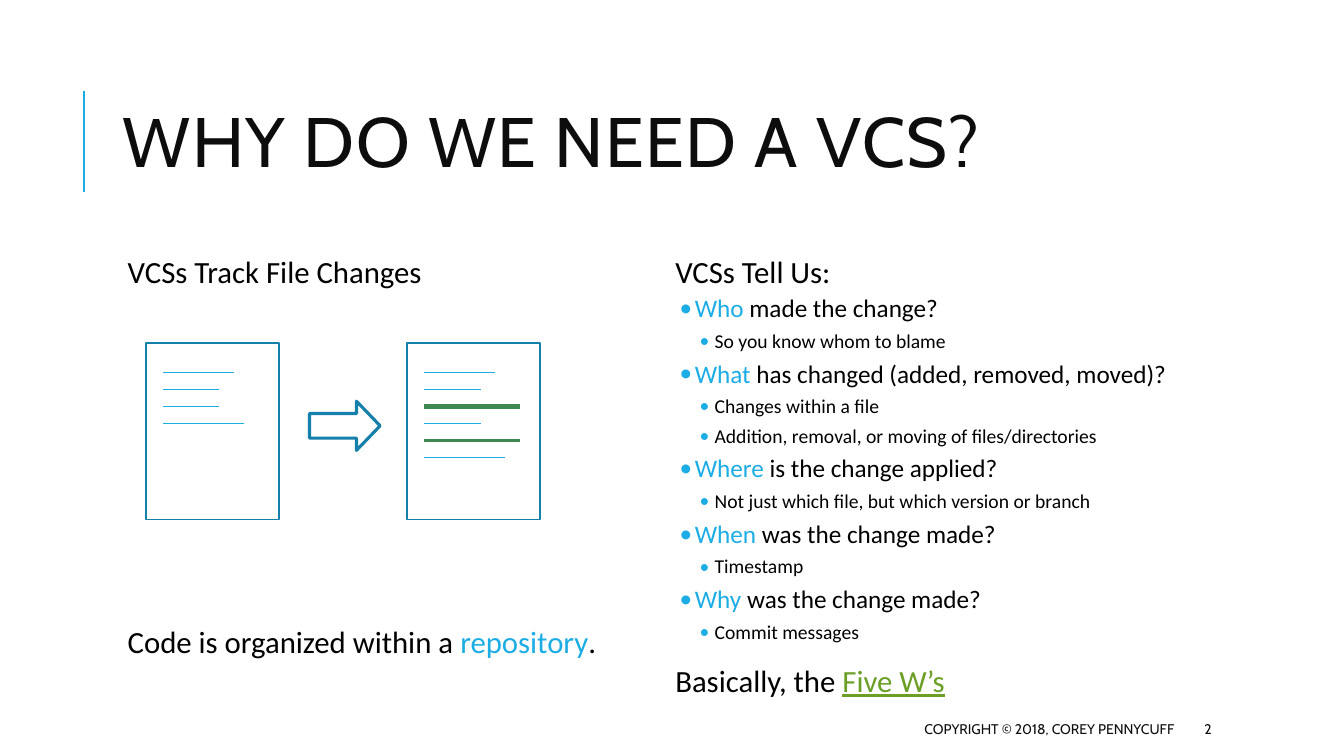
from lxml.etree import SubElement
from pptx import Presentation
from pptx.dml.color import RGBColor
from pptx.enum.shapes import MSO_CONNECTOR, MSO_SHAPE
from pptx.enum.text import MSO_ANCHOR, MSO_AUTO_SIZE, PP_ALIGN
from pptx.oxml.ns import qn
from pptx.util import Cm, Pt

BLUE, OUTLINE, GREEN, LINK = "1CADE4", "1580A9", "3E8853", "6B9F25"
BLACK, DARK, WHITE = "000000", "0D0D0D", "FFFFFF"
HEADING, TOPIC, DETAIL = range(3)
SIZES = {HEADING: 22, TOPIC: 18, DETAIL: 14}
INDENTS = {HEADING: 0.25, TOPIC: 0.74, DETAIL: 1.24}


def rgb(value):
    return RGBColor.from_string(value)


def add_run(p, text, size=10, font="Calibri", color=BLACK, underline=None, spacing=None):
    r = p.add_run()
    r.text = text
    r.font.size = Pt(size)
    r.font.name = font
    r.font.color.rgb = rgb(color)
    r.font.underline = underline
    if spacing:
        r._r.get_or_add_rPr().set("spc", str(spacing))


class SlideBuilder:
    def __init__(self, s):
        self.s = s

    def title(self, text, x, y, w, h):
        sp = self.s.shapes.title
        sp.left, sp.top, sp.width, sp.height = Cm(x), Cm(y), Cm(w), Cm(h)
        tf = sp.text_frame
        tf.auto_size = MSO_AUTO_SIZE.NONE
        tf.vertical_anchor = MSO_ANCHOR.MIDDLE
        p = tf.paragraphs[0]
        p.alignment = PP_ALIGN.LEFT
        p.line_spacing = 0.8
        add_run(p, text, size=50, font="Cabin", color=DARK, spacing=100)

    def frame(self, x, y, w, h):
        tf = self.s.shapes.add_textbox(Cm(x), Cm(y), Cm(w), Cm(h)).text_frame
        tf.word_wrap = True
        return tf

    def body(self, rows, x, y, w, h):
        tf = self.frame(x, y, w, h)
        tf.margin_left = tf.margin_right = tf.margin_top = tf.margin_bottom = Cm(0.13)
        for i, (level, *runs) in enumerate(rows):
            p = tf.add_paragraph() if i else tf.paragraphs[0]
            p.level = level
            p.line_spacing = 0.9
            p.space_before = Pt(12 if level == HEADING else 2)
            p.space_after = Pt(2 if level == HEADING else 4)
            self.indent(p, level)
            for text, color in runs:
                add_run(p, text, size=SIZES[level], color=color,
                        underline=True if color == LINK else None)

    def indent(self, p, level):
        pPr = p._p.get_or_add_pPr()
        pPr.set("marL", str(Cm(INDENTS[level])))
        if level == HEADING:
            pPr.set("indent", "0")
            return
        pPr.set("indent", str(Cm(-0.38)))
        SubElement(SubElement(pPr, qn("a:buClr")), qn("a:srgbClr")).set("val", BLUE)
        SubElement(pPr, qn("a:buFont")).set("typeface", "Calibri")
        SubElement(pPr, qn("a:buChar")).set("char", "•")

    def footer(self, text, x, w, align):
        tf = self.frame(x, 17.98, w, 0.76)
        tf.vertical_anchor = MSO_ANCHOR.MIDDLE
        p = tf.paragraphs[0]
        p.alignment = align
        add_run(p, text, font="Cabin", color=DARK)

    def shape(self, kind, x, y, w, h, width):
        sp = self.s.shapes.add_shape(kind, Cm(x), Cm(y), Cm(w), Cm(h))
        sp.shadow.inherit = False
        sp.fill.solid()
        sp.fill.fore_color.rgb = rgb(WHITE)
        sp.line.color.rgb = rgb(OUTLINE)
        sp.line.width = Pt(width)
        return sp

    def line(self, x1, y1, x2, y2, color=BLUE, width=0.75):
        c = self.s.shapes.add_connector(MSO_CONNECTOR.STRAIGHT, Cm(x1), Cm(y1), Cm(x2), Cm(y2))
        c.line.color.rgb = rgb(color)
        c.line.width = Pt(width)
        SubElement(c._element.spPr, qn("a:effectLst"))

    def document(self, x, y, code_lines):
        self.shape(MSO_SHAPE.RECTANGLE, x, y, 3.35, 4.45, 1.25)
        for i, (length, color, width) in enumerate(code_lines):
            line_y = y + 0.74 + 0.43 * i
            self.line(x + 0.43, line_y, x + 0.43 + length, line_y, color, width)


def main():
    prs = Presentation()
    prs.slide_width, prs.slide_height = Cm(33.87), Cm(19.05)
    b = SlideBuilder(prs.slides.add_slide(prs.slide_layouts[5]))

    b.line(2.11, 2.29, 2.11, 4.83, width=1.5)
    b.title("WHY DO WE NEED A VCS?", 2.84, 1.63, 27, 4.17)

    b.body([(HEADING, ("VCSs Track File Changes", BLACK))], 2.84, 6.35, 13.21, 1.2)
    b.body([(HEADING, ("Code is organized within a ", BLACK), ("repository", BLUE), (".", BLACK))],
           2.84, 15.67, 13.21, 1.2)

    questions = [
        ("Who", " made the change?", ["So you know whom to blame"]),
        ("What", " has changed (added, removed, moved)?",
         ["Changes within a file", "Addition, removal, or moving of files/directories"]),
        ("Where", " is the change applied?", ["Not just which file, but which version or branch"]),
        ("When", " was the change made?", ["Timestamp"]),
        ("Why", " was the change made?", ["Commit messages"]),
    ]
    rows = [(HEADING, ("VCSs Tell Us:", BLACK))]
    for word, rest, details in questions:
        rows.append((TOPIC, (word, BLUE), (rest, BLACK)))
        rows += [(DETAIL, (detail, BLACK)) for detail in details]
    rows.append((HEADING, ("Basically, the ", BLACK), ("Five W’s", LINK)))
    b.body(rows, 16.64, 6.35, 13.21, 12.09)

    long, short, last = (1.78, BLUE, 0.75), (1.42, BLUE, 0.75), (2.03, BLUE, 0.75)
    b.document(3.68, 8.64, [long, short, short, last])
    b.document(10.26, 8.64, [long, short, (2.41, GREEN, 3.25), short, (2.41, GREEN, 2.75), last])
    arrow = b.shape(MSO_SHAPE.RIGHT_ARROW, 7.8, 10.11, 1.78, 1.24, 2.25)
    arrow.adjustments[1] = 0.48

    b.footer("2", 30.1, 2.69, PP_ALIGN.LEFT)
    b.footer("COPYRIGHT © 2018, COREY PENNYCUFF", 13.46, 16.38, PP_ALIGN.RIGHT)
    prs.save("out.pptx")


if __name__ == "__main__":
    main()
